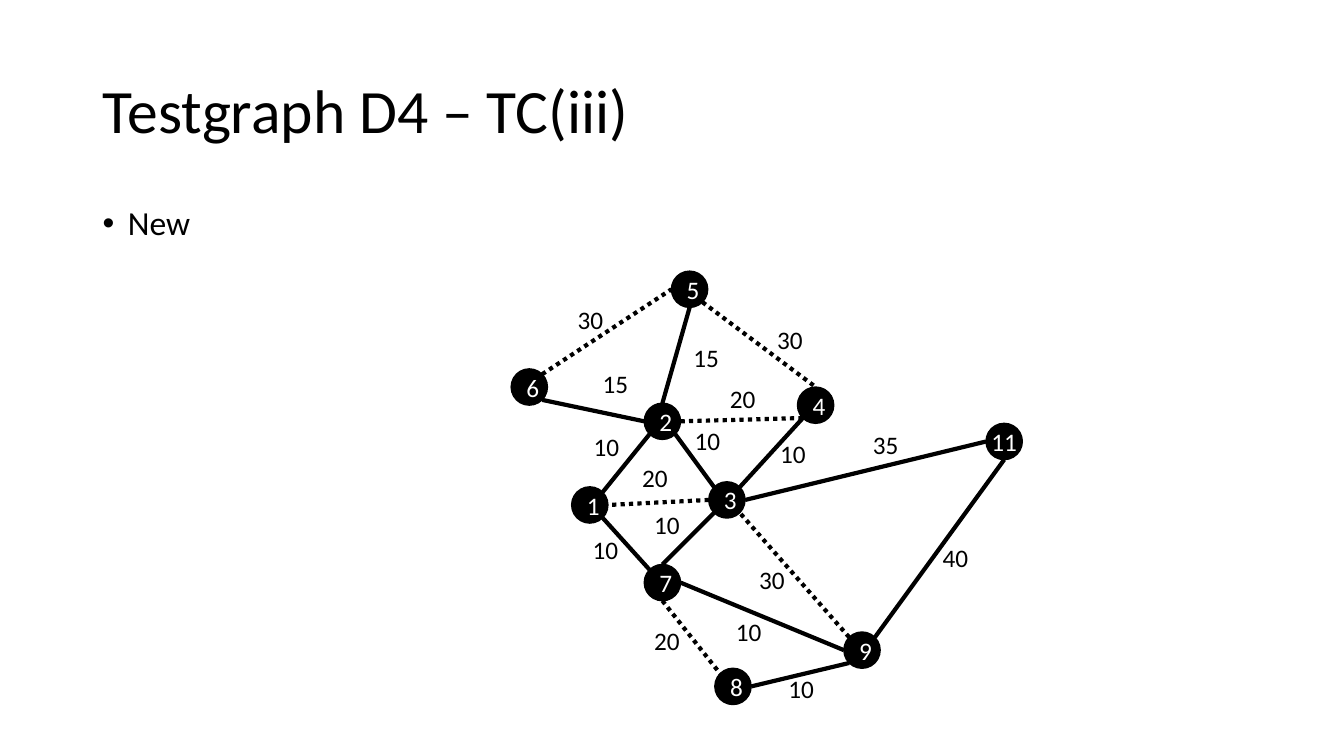
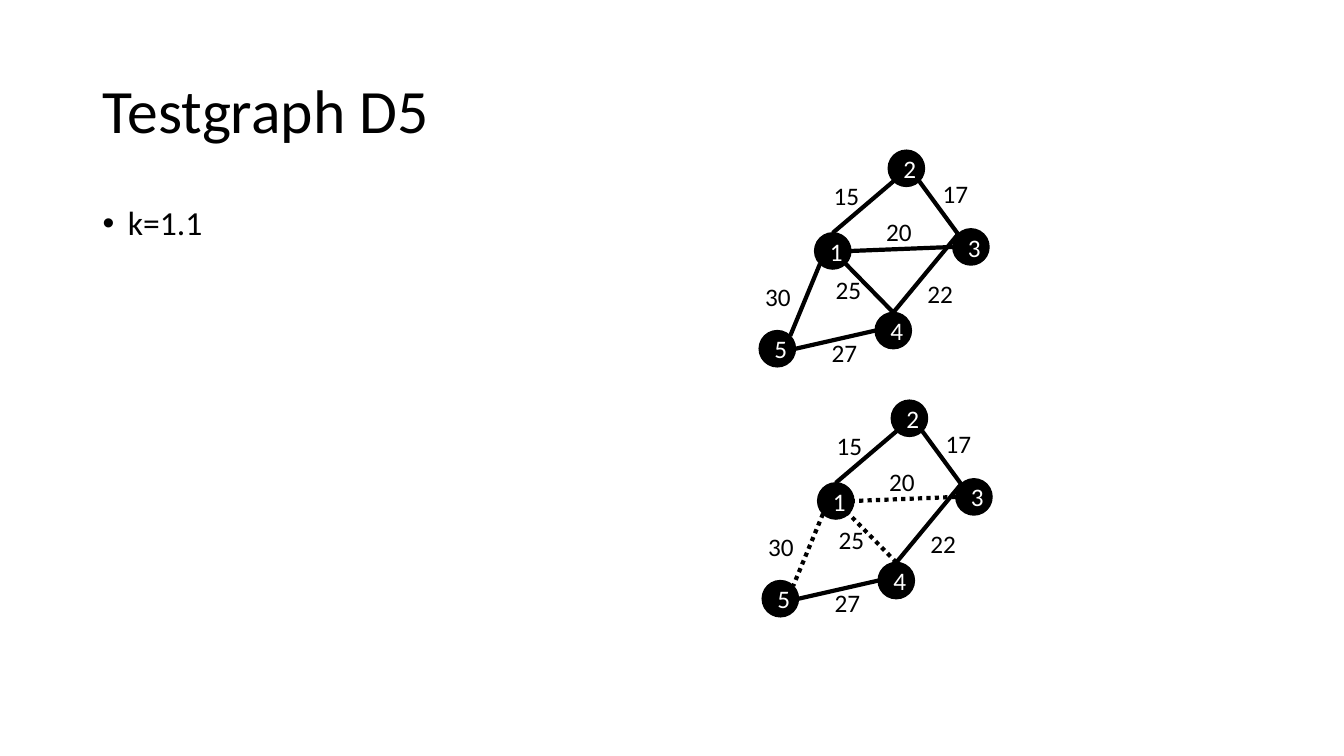
"""Build two slides of weighted test graphs."""
from dataclasses import dataclass
from math import cos, radians, sin

from lxml.etree import SubElement as Sub
from pptx import Presentation
from pptx.dml.color import RGBColor as RGB
from pptx.enum.dml import MSO_LINE as Dash
from pptx.enum.shapes import MSO_CONNECTOR as Link, MSO_SHAPE as Shape
from pptx.enum.text import MSO_ANCHOR as Anchor, MSO_AUTO_SIZE as Auto, PP_ALIGN as Align
from pptx.oxml.ns import qn
from pptx.util import Inches, Pt


@dataclass(frozen=True)
class Theme:
    font: str = "Calibri"
    ink: RGB = RGB(0, 0, 0)
    paper: RGB = RGB(255, 255, 255)
    head: int = 44
    body: int = 24
    mark: int = 18
    edge: int = 3
    rim: int = 1
    node: float = 0.36


SITES = ("N", "NW", "W", "SW", "S", "SE", "E", "NE")


def write(frame, text, size, color, font=Theme.font, align=Align.LEFT,
          anchor=Anchor.TOP, wrap=True, grow=False, space=1.0, before=0):
    frame.word_wrap = wrap
    frame.auto_size = Auto.SHAPE_TO_FIT_TEXT if grow else Auto.NONE
    frame.vertical_anchor = anchor
    para = frame.paragraphs[0]
    para.alignment = align
    para.line_spacing = space
    para.space_before = Pt(before)
    run = para.add_run()
    run.text = text
    run.font.name = font
    run.font.size = Pt(size)
    run.font.color.rgb = color
    return para


class Deck:
    def __init__(self, theme):
        self.theme = theme
        self.show = Presentation()
        self.show.slide_width = Inches(13.33)
        self.show.slide_height = Inches(7.5)
        self.slide = None

    def page(self, title, point):
        self.slide = self.show.slides.add_slide(self.show.slide_layouts[5])
        head = self.slide.shapes.title
        head.left, head.top = Inches(0.92), Inches(0.4)
        head.width, head.height = Inches(11.5), Inches(1.45)
        write(head.text_frame, title, self.theme.head, self.theme.ink,
              anchor=Anchor.MIDDLE, space=0.9)
        self.bullet(point)

    def box(self, x, y, w, h):
        return self.slide.shapes.add_textbox(
            Inches(x), Inches(y), Inches(w), Inches(h)).text_frame

    def bullet(self, text):
        para = write(self.box(0.92, 2, 6.18, 4.76), text, self.theme.body,
                     self.theme.ink, space=0.9, before=10)
        props = para._p.get_or_add_pPr()
        props.set("marL", str(Inches(0.25)))
        props.set("indent", str(Inches(-0.25)))
        Sub(props, qn("a:buFont")).set("typeface", "Arial")
        Sub(props, qn("a:buChar")).set("char", "•")

    def node(self, name, x, y):
        size = Inches(self.theme.node)
        disc = self.slide.shapes.add_shape(Shape.OVAL, Inches(x), Inches(y), size, size)
        disc.shadow.inherit = False
        disc.fill.solid()
        disc.fill.fore_color.rgb = self.theme.ink
        disc.line.color.rgb = self.theme.ink
        disc.line.width = Pt(self.theme.rim)
        write(disc.text_frame, str(name), self.theme.mark, self.theme.paper,
              align=Align.CENTER, anchor=Anchor.MIDDLE, wrap=len(str(name)) == 1)
        return disc

    def site(self, disc, side):
        turn = radians(90 + 45 * SITES.index(side))
        half = disc.width / 2
        return (round(disc.left + half * (1 + cos(turn))),
                round(disc.top + half * (1 - sin(turn))))

    def edge(self, start, out, end, into, dotted):
        line = self.slide.shapes.add_connector(
            Link.STRAIGHT, *self.site(start, out), *self.site(end, into))
        line.line.color.rgb = self.theme.ink
        line.line.width = Pt(self.theme.edge)
        if dotted:
            line.line.dash_style = Dash.ROUND_DOT
        Sub(line._element.spPr, qn("a:effectLst"))
        props = line._element.nvCxnSpPr.cNvCxnSpPr
        for tip, disc, side in ((props.get_or_add_stCxn(), start, out),
                                (props.get_or_add_endCxn(), end, into)):
            tip.id, tip.idx = disc.shape_id, SITES.index(side)

    def label(self, cost, x, y):
        write(self.box(x, y, 0.46, 0.4), str(cost), self.theme.mark,
              self.theme.ink, wrap=False, grow=True)

    def graph(self, nodes, edges, dots=(), dx=0, dy=0):
        discs = {name: self.node(name, x + dx, y + dy)
                 for name, (x, y) in nodes.items()}
        for start, out, end, into, cost, x, y in edges:
            self.edge(discs[start], out, discs[end], into, (start, end) in dots)
            self.label(cost, x + dx, y + dy)


WIDE = {1: (5.67, 4.83), 2: (6.39, 4), 3: (7.03, 4.78), 4: (7.91, 3.84),
        5: (6.66, 2.69), 6: (5.07, 3.66), 7: (6.39, 5.6), 8: (7.09, 6.63),
        9: (8.37, 6.27), 11: (9.78, 4.2)}
ROADS = (
    (1, "NE", 2, "SW", 10, 5.79, 4.23),
    (2, "W", 6, "SE", 15, 5.88, 3.6),
    (6, "NE", 5, "W", 30, 5.63, 2.97),
    (5, "SE", 4, "N", 30, 7.61, 3.17),
    (5, "S", 2, "N", 15, 6.78, 3.35),
    (2, "E", 4, "SW", 20, 7.14, 3.75),
    (3, "NE", 4, "SW", 10, 7.64, 4.3),
    (2, "SE", 3, "NW", 10, 6.79, 4.17),
    (3, "W", 1, "E", 20, 6.27, 4.54),
    (7, "NW", 1, "SE", 10, 5.78, 5.25),
    (7, "N", 3, "SW", 10, 6.39, 5),
    (7, "S", 8, "NW", 20, 6.39, 6.15),
    (9, "SW", 8, "E", 10, 7.72, 6.63),
    (9, "NW", 3, "SE", 30, 7.43, 5.55),
    (11, "W", 3, "E", 35, 8.56, 4.21),
    (11, "S", 9, "NE", 40, 9.25, 5.33),
    (7, "E", 9, "W", 10, 7.2, 6.07),
)
SMALL = {1: (8.08, 2.31), 2: (8.81, 1.49), 3: (9.45, 2.27),
         4: (8.68, 3.1), 5: (7.53, 3.28)}
PATHS = (
    (5, "E", 4, "W", 27, 8.15, 3.3),
    (1, "SW", 5, "NE", 30, 7.49, 2.74),
    (4, "N", 3, "NW", 22, 9.1, 2.71),
    (4, "N", 1, "SE", 25, 8.19, 2.67),
    (3, "NW", 2, "SE", 17, 9.25, 1.72),
    (2, "SW", 1, "N", 15, 8.17, 1.74),
    (3, "W", 1, "E", 20, 8.69, 2.1),
)

deck = Deck(Theme())
deck.page("Testgraph D4 – TC(iii)", "New")
deck.graph(WIDE, ROADS, dots={(6, 5), (5, 4), (2, 4), (3, 1), (7, 8), (9, 3)})
deck.page("Testgraph D5", "k=1.1")
deck.graph(SMALL, PATHS)
deck.graph(SMALL, PATHS, dots={(1, 5), (4, 1), (3, 1)}, dx=0.03, dy=2.48)
deck.show.save("out.pptx")
